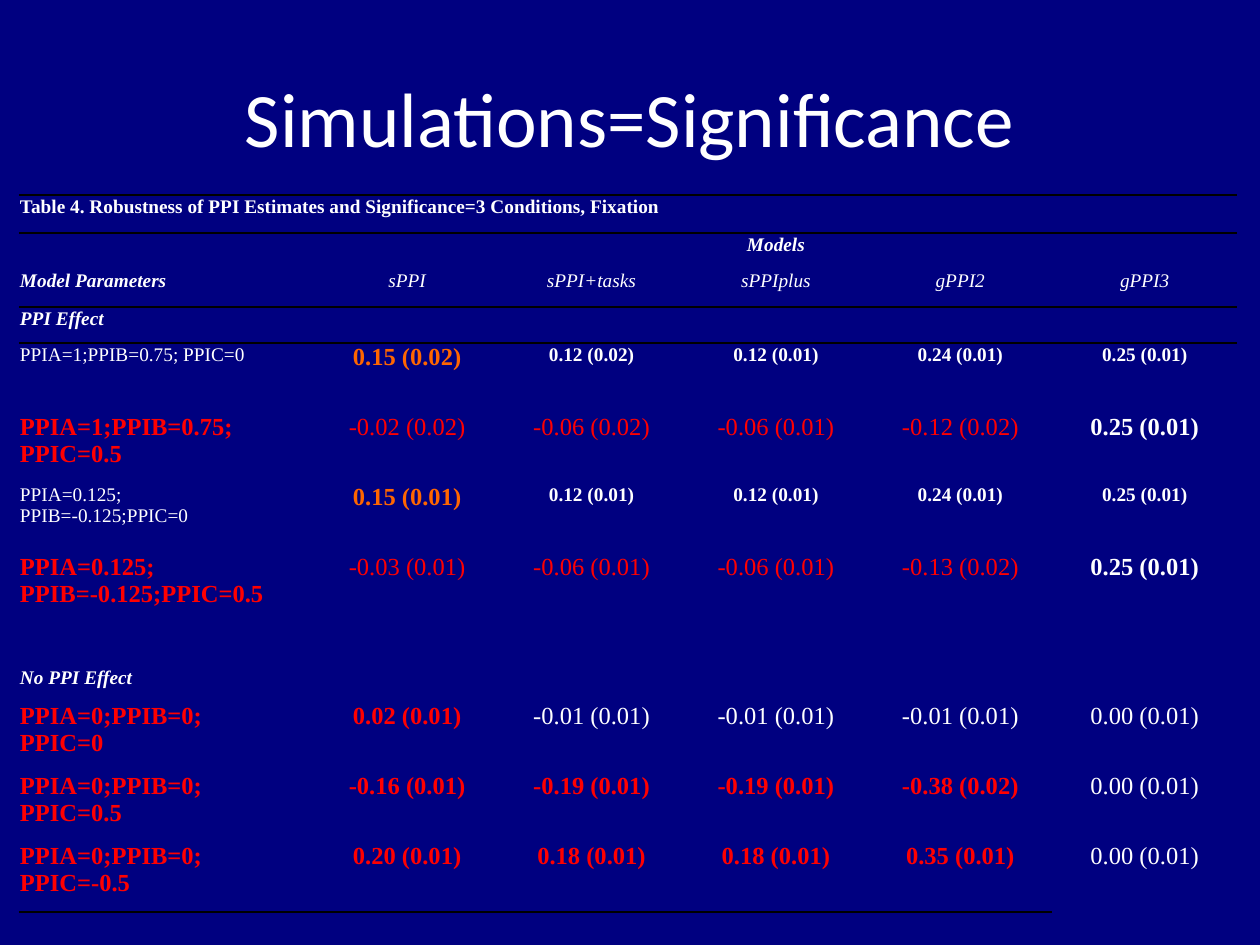
from copy import deepcopy
from dataclasses import dataclass

from lxml import etree
from pptx import Presentation
from pptx import util as u
from pptx.dml.color import RGBColor
from pptx.enum import text
from pptx.oxml.ns import qn

PX_PER_INCH = 126


@dataclass(frozen=True)
class Theme:
    navy: str = "000080"
    white: str = "FFFFFF"
    red: str = "FF0000"
    orange: str = "FF6600"
    black: str = "000000"
    title_font: str = "Calibri"
    table_font: str = "Times New Roman"
    title: int = 44
    large: int = 14
    small: int = 11


@dataclass(frozen=True)
class Style:
    size: int
    color: str
    bold: bool = False
    italic: bool = False


@dataclass(frozen=True)
class Row:
    height: int
    texts: tuple[str, ...] = ()
    styles: str = ""  # one key of STYLES per text
    top: bool = False
    bottom: int = 0  # number of cells ruled below


T = Theme()
STYLES = {
    "n": Style(T.small, T.white),
    "b": Style(T.small, T.white, bold=True),
    "i": Style(T.small, T.white, italic=True),
    "h": Style(T.small, T.white, bold=True, italic=True),
    "o": Style(T.large, T.orange, bold=True),
    "r": Style(T.large, T.red),
    "R": Style(T.large, T.red, bold=True),
    "w": Style(T.large, T.white),
    "W": Style(T.large, T.white, bold=True),
}
NO_STYLE = "{2D5ABB26-0587-4C30-8999-92F81FD0307C}"
LEFT, TOP, WIDTH, LABEL_WIDTH, COLUMNS = 19, 195, 1218, 296, 6
HEAD, BODY = 36, 70

ROWS = [
    Row(38, ("Table 4. Robustness of PPI Estimates and Significance=3 Conditions, Fixation",),
        "b", top=True, bottom=6),
    Row(HEAD, ("", "Models"), "hh"),
    Row(38, ("Model Parameters", "sPPI", "sPPI+tasks", "sPPIplus", "gPPI2", "gPPI3"),
        "hiiiii", bottom=6),
    Row(HEAD, ("PPI Effect",), "h", top=True),
    Row(BODY, ("PPIA=1;PPIB=0.75; PPIC=0", "0.15 (0.02)", "0.12 (0.02)",
               "0.12 (0.01)", "0.24 (0.01)", "0.25 (0.01)"), "nobbbb"),
    Row(BODY, ("PPIA=1;PPIB=0.75; PPIC=0.5", "-0.02 (0.02)", "-0.06 (0.02)",
               "-0.06 (0.01)", "-0.12 (0.02)", "0.25 (0.01)"), "RrrrrW"),
    Row(BODY, ("PPIA=0.125;\nPPIB=-0.125;PPIC=0", "0.15 (0.01)", "0.12 (0.01)",
               "0.12 (0.01)", "0.24 (0.01)", "0.25 (0.01)"), "nobbbb"),
    Row(77, ("PPIA=0.125;\nPPIB=-0.125;PPIC=0.5", "-0.03 (0.01)", "-0.06 (0.01)",
             "-0.06 (0.01)", "-0.13 (0.02)", "0.25 (0.01)"), "RrrrrW"),
    Row(HEAD),
    Row(HEAD, ("No PPI Effect",), "h"),
    Row(BODY, ("PPIA=0;PPIB=0;\nPPIC=0", "0.02 (0.01)", "-0.01 (0.01)",
               "-0.01 (0.01)", "-0.01 (0.01)", "0.00 (0.01)"), "RRwwww"),
    Row(BODY, ("PPIA=0;PPIB=0;\nPPIC=0.5", "-0.16 (0.01)", "-0.19 (0.01)",
               "-0.19 (0.01)", "-0.38 (0.02)", "0.00 (0.01)"), "RRRRRw"),
    Row(BODY, ("PPIA=0;PPIB=0;\nPPIC=-0.5", "0.20 (0.01)", "0.18 (0.01)",
               "0.18 (0.01)", "0.35 (0.01)", "0.00 (0.01)"), "RRRRRw", bottom=5),
]


def px(n: float) -> u.Emu:
    return u.Emu(round(n * 914400 / PX_PER_INCH))


def write(tf, content: str, *, style: Style, font: str, centered: bool = False) -> None:
    """Fill the first paragraph; a newline becomes a line break."""
    p = tf.paragraphs[0]
    p.alignment = text.PP_ALIGN.CENTER if centered else text.PP_ALIGN.LEFT
    for i, line in enumerate(content.split("\n")):
        if i:
            p.add_line_break()
        r = p.add_run()
        r.text = line
        r.font.name = font
        r.font.size = u.Pt(style.size)
        r.font.bold = style.bold
        r.font.italic = style.italic
        r.font.color.rgb = RGBColor.from_string(style.color)
    for br in p._p.findall(qn("a:br")):
        br.insert(0, deepcopy(p.runs[0]._r.rPr))


def rule(cell, side: str) -> None:
    """Draw a 1 pt border; lines come before the fill in the cell properties."""
    ln = etree.Element(qn(f"a:ln{side}"), w=str(u.Pt(1)))
    fill = etree.SubElement(ln, qn("a:solidFill"))
    etree.SubElement(fill, qn("a:srgbClr"), val=T.black)
    cell._tc.get_or_add_tcPr().insert(0, ln)


def draw_cell(cell, row: Row, col: int) -> None:
    cell.margin_left = cell.margin_right = cell.margin_top = px(1)
    cell.margin_bottom = 0
    cell.fill.background()
    if col < row.bottom:
        rule(cell, "B")
    if row.top:
        rule(cell, "T")
    if col < len(row.texts) and row.texts[col]:
        write(cell.text_frame, row.texts[col], style=STYLES[row.styles[col]],
              font=T.table_font, centered=col > 0)
    else:
        # Keep empty cells from stretching their row
        etree.SubElement(cell.text_frame.paragraphs[0]._p, qn("a:endParaRPr"),
                         sz=str(T.small * 100))


def draw_table(s, rows: list[Row]) -> None:
    height = sum(row.height for row in rows)
    frame = s.shapes.add_table(len(rows), COLUMNS, px(LEFT), px(TOP), px(WIDTH), px(height))
    table = frame.table
    table.first_row = table.horz_banding = False
    table._tbl.tblPr.find(qn("a:tableStyleId")).text = NO_STYLE
    value_width = (WIDTH - LABEL_WIDTH) / (COLUMNS - 1)
    for c, column in enumerate(table.columns):
        column.width = px(value_width if c else LABEL_WIDTH)
    for i, row in enumerate(rows):
        table.rows[i].height = px(row.height)
        for c in range(COLUMNS):
            draw_cell(table.cell(i, c), row, c)
    # Caption and "Models" headings span several columns
    table.cell(0, 0).merge(table.cell(0, COLUMNS - 1))
    table.cell(1, 1).merge(table.cell(1, COLUMNS - 1))


def main() -> None:
    prs = Presentation()
    prs.slide_width, prs.slide_height = u.Inches(10), u.Inches(7.5)
    s = prs.slides.add_slide(prs.slide_layouts[5])
    s.background.fill.solid()
    s.background.fill.fore_color.rgb = RGBColor.from_string(T.navy)

    # Title
    sp = s.shapes.title
    sp.left, sp.top, sp.width, sp.height = px(63), px(38), px(1134), px(157)
    sp.text_frame.vertical_anchor = text.MSO_ANCHOR.MIDDLE
    write(sp.text_frame, "Simulations=Significance", style=Style(T.title, T.white),
          font=T.title_font, centered=True)

    # Results
    draw_table(s, ROWS)
    prs.save("out.pptx")


if __name__ == "__main__":
    main()
